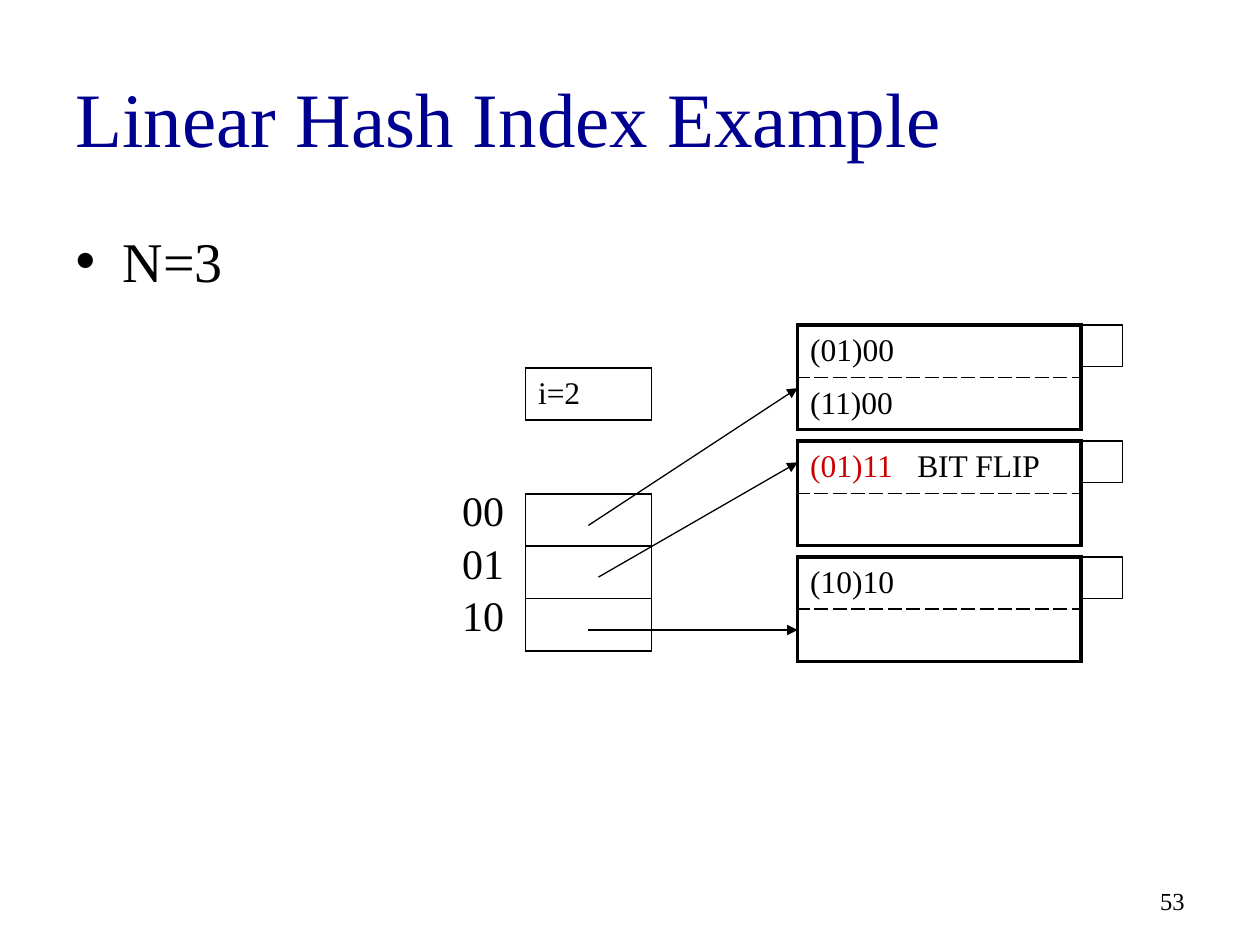
from lxml.etree import SubElement
from pptx import Presentation
from pptx.dml.color import RGBColor
from pptx.enum.shapes import MSO_CONNECTOR, MSO_SHAPE
from pptx.enum.text import MSO_ANCHOR, PP_ALIGN
from pptx.oxml import parse_xml
from pptx.oxml.ns import nsdecls, qn
from pptx.util import Inches, Pt

BLACK, NAVY, RED = "000000", "000090", "CC0000"
ROW = 0.415
color = RGBColor.from_string


def add_span(para, text, size, hex_color=BLACK):
    span = para.add_run()
    span.text = text
    formats = {"name": "Times New Roman", "size": Pt(size), "bold": False}
    for name, value in formats.items():
        setattr(span.font, name, value)
    span.font.color.rgb = color(hex_color)


def add_grid(page, left, top, width, rows, outer=1, inner=1, dash="solid"):
    """Add a one-column table; each row is a list of (text, colour) spans."""
    frame = page.shapes.add_table(len(rows), 1, Inches(left), Inches(top),
                                  Inches(width), Inches(ROW * len(rows)))
    grid = frame.table
    grid.first_row = grid.horz_banding = False
    for index, spans in enumerate(rows):
        cell = grid.cell(index, 0)
        cell.vertical_anchor = MSO_ANCHOR.MIDDLE
        para = cell.text_frame.paragraphs[0]
        if len(spans) > 1:
            tabs = SubElement(para._p.get_or_add_pPr(), qn("a:tabLst"))
            SubElement(tabs, qn("a:tab"), pos=str(Inches(0.85)), algn="l")
        for text, hex_color in spans:
            add_span(para, text, 18, hex_color)
        inside = {"T": index > 0, "B": index < len(rows) - 1}
        for place, side in enumerate("LRTB"):
            shared = inside.get(side, False)
            line_width = Pt(inner if shared else outer)
            line_dash = dash if shared else "solid"
            cell._tc.get_or_add_tcPr().insert(place, parse_xml(
                f'<a:ln{side} {nsdecls("a")} w="{line_width}"><a:solidFill>'
                f'<a:srgbClr val="{BLACK}"/></a:solidFill>'
                f'<a:prstDash val="{line_dash}"/></a:ln{side}>'))
        cell.fill.background()


deck = Presentation()
deck.slide_width, deck.slide_height = Inches(10), Inches(7.5)
page = deck.slides.add_slide(deck.slide_layouts[1])

# Title and bullet
title, body = page.placeholders
texts = [(title, 0.3, 1.25, "Linear Hash Index Example", 44, NAVY, MSO_ANCHOR.MIDDLE),
         (body, 1.75, 4.95, "N=3", 32, BLACK, MSO_ANCHOR.TOP)]
for box, top, height, text, size, hex_color, anchor in texts:
    box.left, box.top = Inches(0.5), Inches(top)
    box.width, box.height = Inches(9), Inches(height)
    box.text_frame.vertical_anchor = anchor
    para = box.text_frame.paragraphs[0]
    para.alignment = PP_ALIGN.LEFT
    para.space_before = Pt(0)
    add_span(para, text, size, hex_color)

# Bit count and bucket directory
add_grid(page, 4.17, 2.92, 1, [[("i=2", BLACK)]])
add_grid(page, 4.17, 3.92, 1, [[], [], []])
for index, label in enumerate(["00", "01", "10"]):
    box = page.shapes.add_textbox(Inches(3.57), Inches(3.8 + ROW * index),
                                  Inches(0.53), Inches(0.5))
    box.text_frame.word_wrap = False
    add_span(box.text_frame.paragraphs[0], label, 24)

# Buckets, each with an overflow pointer box
buckets = [
    [[("(01)00", BLACK)], [("(11)00", BLACK)]],
    [[("(01)11", RED), ("\tBIT FLIP", BLACK)], []],
    [[("(10)10", BLACK)], []],
]
for index, rows in enumerate(buckets):
    top = 2.58 + 0.92 * index
    add_grid(page, 6.33, top, 2.25, rows, outer=2.25, dash="lgDash")
    overflow = page.shapes.add_shape(MSO_SHAPE.RECTANGLE, Inches(8.58), Inches(top),
                                     Inches(0.33), Inches(0.33))
    overflow.shadow.inherit = False
    overflow.fill.background()
    overflow.line.color.rgb = color(BLACK)
    overflow.line.width = Pt(0.75)

# Arrows from directory to buckets
for start_x, start_y, end_y in [(4.67, 4.17, 3.08), (4.75, 4.58, 3.67), (4.67, 5, 5)]:
    arrow = page.shapes.add_connector(MSO_CONNECTOR.STRAIGHT, Inches(start_x),
                                      Inches(start_y), Inches(6.33), Inches(end_y))
    arrow.line.color.rgb = color(BLACK)
    arrow.line.width = Pt(0.75)
    SubElement(arrow.line._get_or_add_ln(), qn("a:tailEnd"), type="triangle")
    SubElement(arrow._element.spPr, qn("a:effectLst"))

# Page number
box = page.shapes.add_textbox(Inches(7.17), Inches(6.95), Inches(2.33), Inches(0.4))
box.text_frame.word_wrap = True
box.text_frame.vertical_anchor = MSO_ANCHOR.MIDDLE
para = box.text_frame.paragraphs[0]
para.alignment = PP_ALIGN.RIGHT
add_span(para, "53", 14)

deck.save("out.pptx")
